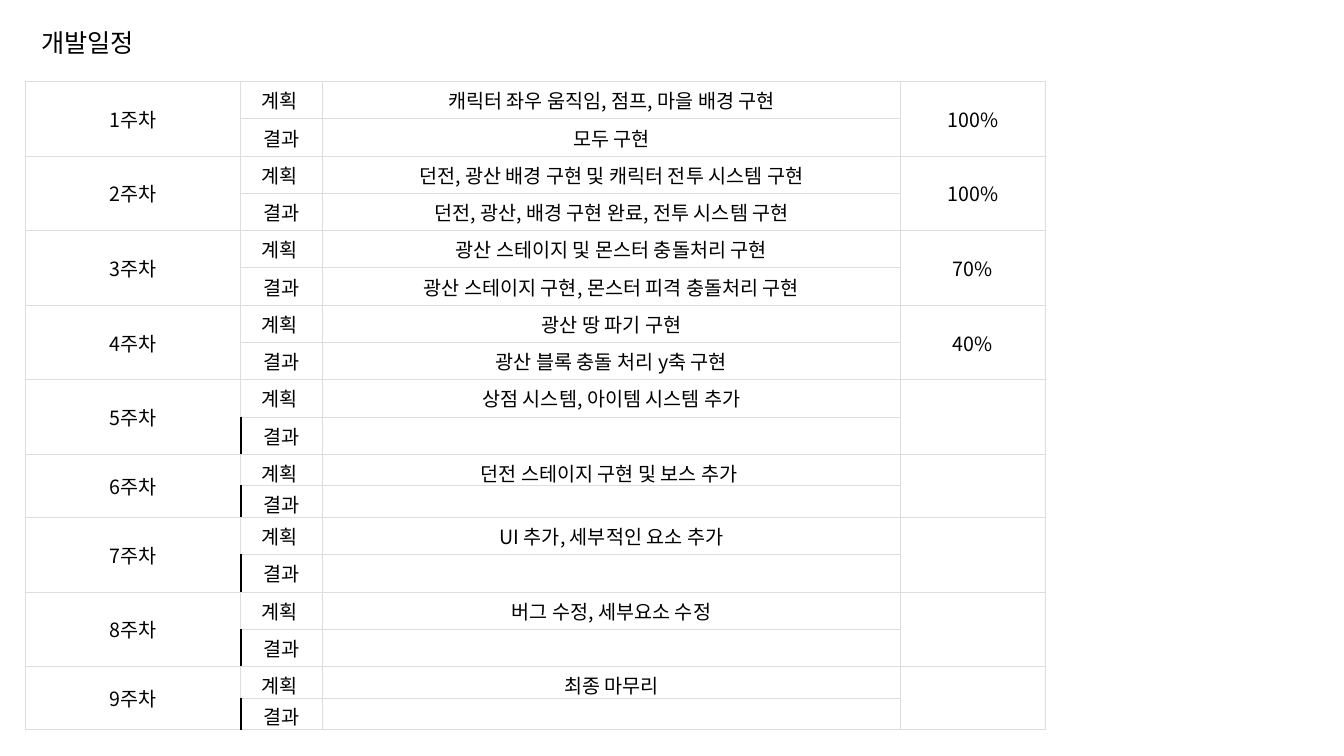
from typing import NamedTuple

from lxml.etree import SubElement
from pptx import Presentation
from pptx.dml.color import RGBColor as RGB
from pptx.enum.text import MSO_ANCHOR as Anchor, MSO_AUTO_SIZE as AutoSize, PP_ALIGN as Align
from pptx.oxml.ns import qn
from pptx.util import Inches, Pt

BLACK = RGB(0x00, 0x00, 0x00)
WHITE = RGB(0xFF, 0xFF, 0xFF)
GRID = RGB(0xDD, 0xDD, 0xDD)
FONT = "Noto Sans CJK KR"
CELL_SIZE = Pt(14)
COLUMNS = (2.14, 0.81, 5.73, 1.44)
ROW, SHORT_ROW = 0.37, 0.31
SHORT_WEEKS = (6, 9)


class Week(NamedTuple):
    plan: str
    result: str = ""
    progress: str = ""


WEEKS = (
    Week("캐릭터 좌우 움직임, 점프, 마을 배경 구현", "모두 구현", "100%"),
    Week("던전, 광산 배경 구현 및 캐릭터 전투 시스템 구현",
         "던전, 광산, 배경 구현 완료, 전투 시스템 구현", "100%"),
    Week("광산 스테이지 및 몬스터 충돌처리 구현",
         "광산 스테이지 구현, 몬스터 피격 충돌처리 구현", "70%"),
    Week("광산 땅 파기 구현", "광산 블록 충돌 처리 y축 구현", "40%"),
    Week("상점 시스템, 아이템 시스템 추가"),
    Week("던전 스테이지 구현 및 보스 추가 "),
    Week("UI 추가, 세부적인 요소 추가"),
    Week("버그 수정, 세부요소 수정"),
    Week("최종 마무리"),
)


def format_runs(p, size: int) -> None:
    for r in p.runs:
        r.font.size = size
        r.font.name = FONT
        r.font.color.rgb = BLACK
        SubElement(r.font._element, qn("a:ea"), typeface=FONT)


def set_border(cell, side: str, color: RGB, width: int) -> None:
    line = SubElement(cell._tc.get_or_add_tcPr(), qn(f"a:ln{side}"), w=str(width))
    fill = SubElement(line, qn("a:solidFill"))
    SubElement(fill, qn("a:srgbClr"), val=str(color))


def format_cell(cell, dark_side: str = "") -> None:
    cell.vertical_anchor = Anchor.MIDDLE
    cell.margin_left = cell.margin_right = Inches(0.04)
    cell.margin_top = cell.margin_bottom = Inches(0.04)
    # Borders precede the fill in the cell properties
    for side in "LRTB":
        dark = side == dark_side
        set_border(cell, side, BLACK if dark else GRID, Pt(1 if dark else 0.75))
    cell.fill.solid()
    cell.fill.fore_color.rgb = WHITE
    p = cell.text_frame.paragraphs[0]
    p.alignment = Align.CENTER
    format_runs(p, CELL_SIZE)
    if not p.runs:
        SubElement(p._p, qn("a:endParaRPr"), sz=str(int(CELL_SIZE.pt * 100)))


def add_title(slide, text: str) -> None:
    sp = slide.shapes.title
    sp.left, sp.top, sp.width, sp.height = map(Inches, (0.31, 0.22, 1.21, 0.4))
    tf = sp.text_frame
    tf.text = text
    tf.word_wrap = False
    tf.auto_size = AutoSize.SHAPE_TO_FIT_TEXT
    tf.vertical_anchor = Anchor.TOP
    p = tf.paragraphs[0]
    p.alignment = Align.LEFT
    format_runs(p, Pt(18))


def add_schedule(slide, weeks: tuple[Week, ...]) -> None:
    heights = [SHORT_ROW if number in SHORT_WEEKS else ROW
               for number in range(1, len(weeks) + 1) for _ in range(2)]
    table = slide.shapes.add_table(
        len(heights), len(COLUMNS), Inches(0.25), Inches(0.81),
        Inches(sum(COLUMNS)), Inches(sum(heights))).table
    table.first_row = table.horz_banding = False
    for column, width in zip(table.columns, COLUMNS):
        column.width = Inches(width)
    for row, height in zip(table.rows, heights):
        row.height = Inches(height)

    for i, week in enumerate(weeks):
        top, bottom = 2 * i, 2 * i + 1
        # Week number and progress span the plan and result rows
        for column in (0, 3):
            table.cell(top, column).merge(table.cell(bottom, column))
        rows = ((f"{i + 1}주차", "계획 ", week.plan, week.progress),
                ("", "결과", week.result, ""))
        for row, texts in zip((top, bottom), rows):
            for column, text in enumerate(texts):
                cell = table.cell(row, column)
                cell.text_frame.text = text
                # Weeks without a result have a dark edge beside their label
                pending = row == bottom and not week.result
                format_cell(cell, {0: "R", 1: "L"}.get(column, "") if pending else "")


def main() -> None:
    prs = Presentation()
    prs.slide_width, prs.slide_height = Inches(13.33), Inches(7.5)
    slide = prs.slides.add_slide(prs.slide_layouts[5])
    add_schedule(slide, WEEKS)
    add_title(slide, "개발일정")
    prs.save("out.pptx")


if __name__ == "__main__":
    main()
